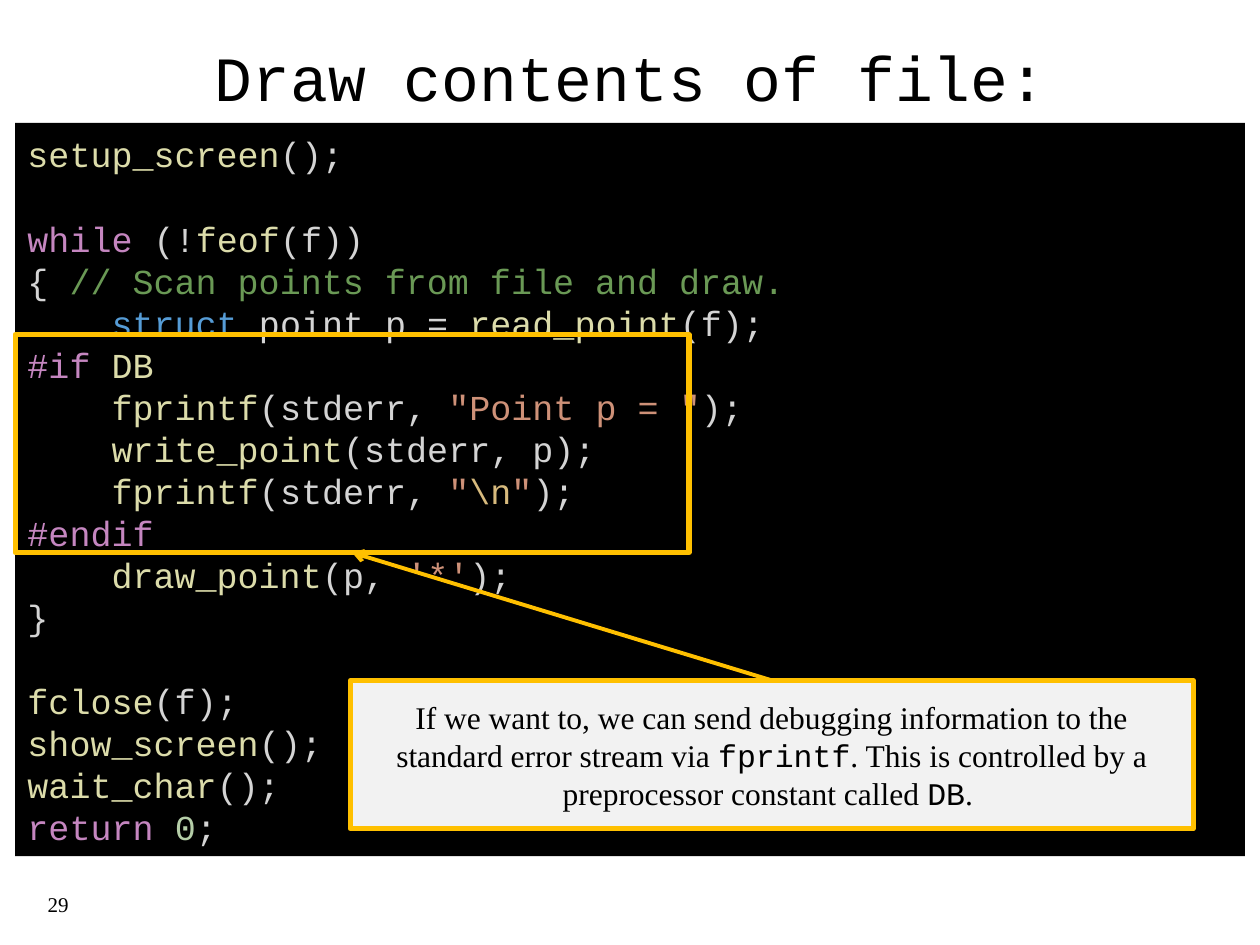
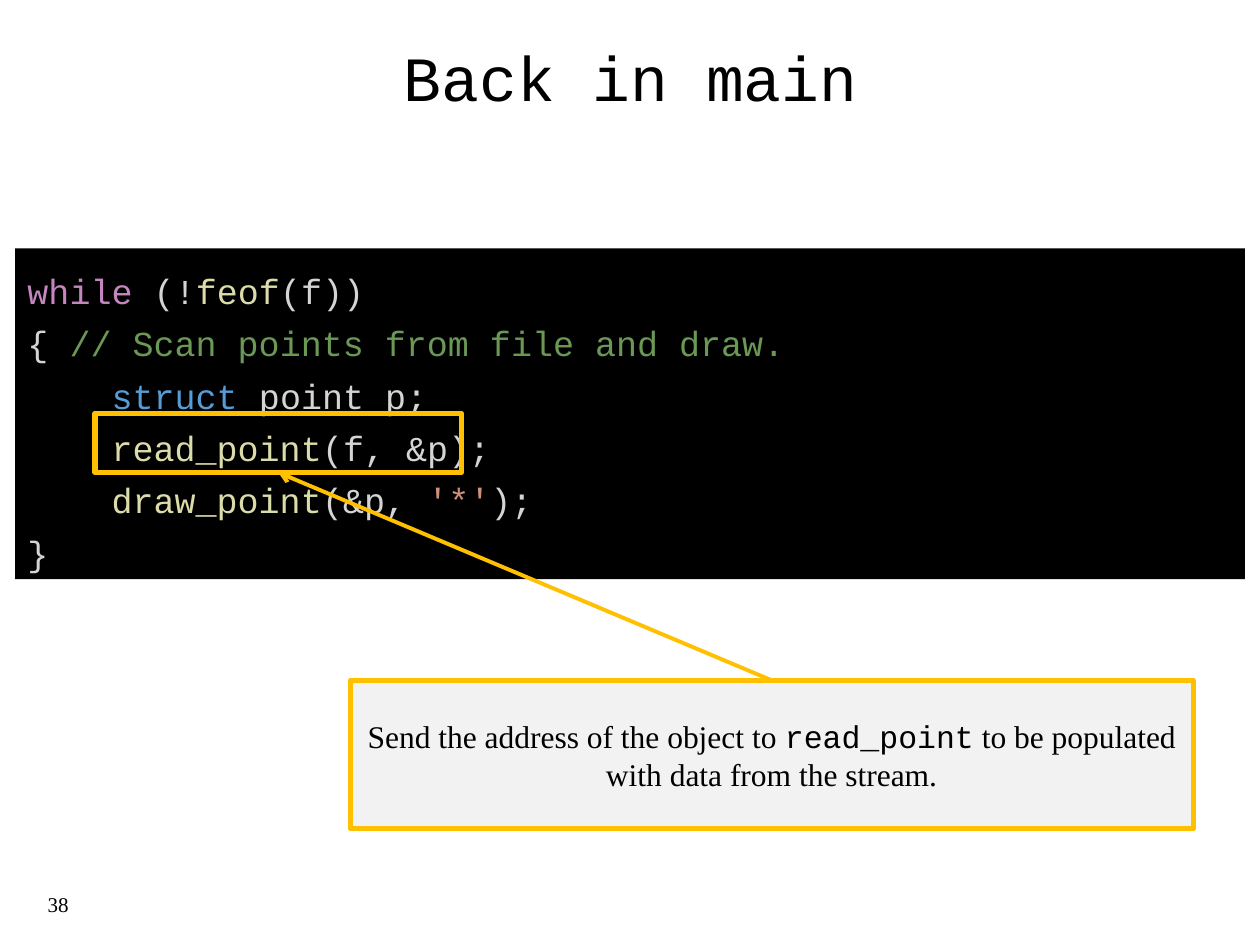
from dataclasses import dataclass

from lxml import etree
from pptx import Presentation
from pptx.dml.color import RGBColor
from pptx.enum.shapes import MSO_CONNECTOR, MSO_SHAPE
from pptx.enum.text import MSO_ANCHOR, PP_ALIGN
from pptx.oxml.ns import qn
from pptx.util import Inches, Pt

RECT = MSO_SHAPE.RECTANGLE
STRAIGHT = MSO_CONNECTOR.STRAIGHT
TOP, MIDDLE = MSO_ANCHOR.TOP, MSO_ANCHOR.MIDDLE
LEFT, CENTER = PP_ALIGN.LEFT, PP_ALIGN.CENTER
TOP_SITE, BOTTOM_SITE = 0, 2
TITLE_ONLY = 5

MONO, SERIF = "Courier New", "Times New Roman"
COLORS = {
    "text": "000000",
    "panel": "000000",
    "note": "F2F2F2",
    "accent": "FFC000",
    "plain": "D4D4D4",
    "call": "DCDCAA",
    "control": "C586C0",
    "type": "569CD6",
    "comment": "6A9955",
    "string": "CE9178",
    "escape": "D7BA7D",
    "number": "B5CEA8",
}


@dataclass
class Box:
    left: float
    top: float
    width: float
    height: float

    def share(self, x, y, w, h):
        return Box(self.left + x * self.width, self.top + y * self.height,
                   w * self.width, h * self.height)

    def emu(self):
        return [Inches(v) for v in (self.left, self.top, self.width, self.height)]


SLIDE = Box(0, 0, 10, 7.5)
TITLE = SLIDE.share(0.028, 0.008, 0.945, 0.145)
NUMBER = SLIDE.share(0.028, 0.93, 0.732, 0.053)
NOTE = SLIDE.share(0.278, 0.72, 0.669, 0.157)

LOOP_HEAD = [
    [("control", "while"), ("plain", " (!"), ("call", "feof"), ("plain", "(f))")],
    [("plain", "{ "), ("comment", "// Scan points from file and draw.")],
]

DRAW_FILE = [
    [("call", "setup_screen"), ("plain", "();")],
    *LOOP_HEAD,
    [("type", "    struct "), ("plain", "point p = "), ("call", "read_point"),
     ("plain", "(f);")],
    [("control", "#if "), ("call", "DB")],
    [("call", "    fprintf"), ("plain", "(stderr, "), ("string", '"Point p = "'),
     ("plain", ");")],
    [("call", "    write_point"), ("plain", "(stderr, p);")],
    [("call", "    fprintf"), ("plain", "(stderr, "), ("string", '"'),
     ("escape", "\\n"), ("string", '"'), ("plain", ");")],
    [("control", "#endif")],
    [("call", "    draw_point"), ("plain", "(p, "), ("string", "'*'"), ("plain", ");")],
    [("plain", "}")],
    [("call", "fclose"), ("plain", "(f);")],
    [("call", "show_screen"), ("plain", "();")],
    [("call", "wait_char"), ("plain", "();")],
    [("control", "return "), ("number", "0"), ("plain", ";")],
]

BACK_IN_MAIN = [
    *LOOP_HEAD,
    [("type", "    struct "), ("plain", "point p;")],
    [("call", "    read_point"), ("plain", "(f, &p);")],
    [("call", "    draw_point"), ("plain", "(&p, "), ("string", "'*'"), ("plain", ");")],
    [("plain", "}")],
]


def rgb(name):
    return RGBColor.from_string(COLORS[name])


def add_run(p, text, size, font, color="text"):
    r = p.add_run()
    r.text = text
    r.font.size = Pt(size)
    r.font.name = font
    r.font.color.rgb = rgb(color)


def add_rect(slide, box, fill=None, outlined=False):
    sp = slide.shapes.add_shape(RECT, *box.emu())
    sp.shadow.inherit = False
    if fill:
        sp.fill.solid()
        sp.fill.fore_color.rgb = rgb(fill)
    else:
        sp.fill.background()
    if outlined:
        sp.line.color.rgb = rgb("accent")
        sp.line.width = Pt(3)
    else:
        sp.line.fill.background()
    return sp


def add_title(slide, box, text):
    sp = slide.shapes.title
    sp.left, sp.top, sp.width, sp.height = box.emu()
    tf = sp.text_frame
    tf.vertical_anchor = MIDDLE
    p = tf.paragraphs[0]
    p.alignment = CENTER
    add_run(p, text, 36, MONO)


def add_number(slide, box, number):
    tf = slide.shapes.add_textbox(*box.emu()).text_frame
    tf.word_wrap = True
    tf.vertical_anchor = MIDDLE
    add_run(tf.paragraphs[0], str(number), 12, SERIF)


def add_code(slide, box, lines, leading, gaps_before):
    tf = add_rect(slide, box, "panel").text_frame
    tf.word_wrap = True
    tf.vertical_anchor = TOP
    tf.margin_top = Inches(0.08)
    for i, tokens in enumerate(lines):
        p = tf.add_paragraph() if i else tf.paragraphs[0]
        p.alignment = LEFT
        p.line_spacing = Pt(leading)
        if i in gaps_before:
            p.space_before = Pt(leading)
        for color, text in tokens:
            add_run(p, text, 20, MONO, color)


def add_note(slide, box, text):
    sp = add_rect(slide, box, "note", outlined=True)
    tf = sp.text_frame
    tf.word_wrap = True
    tf.vertical_anchor = MIDDLE
    p = tf.paragraphs[0]
    p.alignment = CENTER
    for i, piece in enumerate(text.split("`")):
        add_run(p, piece, 18, MONO if i % 2 else SERIF)
    return sp


def add_arrow(slide, note, target):
    cxn = slide.shapes.add_connector(STRAIGHT, 0, 0, 0, 0)
    cxn.begin_connect(note, TOP_SITE)
    cxn.end_connect(target, BOTTOM_SITE)
    cxn.line.color.rgb = rgb("accent")
    cxn.line.width = Pt(2.25)
    sp_pr = cxn._element.spPr
    etree.SubElement(sp_pr.find(qn("a:ln")), qn("a:tailEnd"), type="arrow")
    etree.SubElement(sp_pr, qn("a:effectLst"))


def add_code_slide(prs, title, number, panel, lines, mark, note, leading, gaps_before=()):
    slide = prs.slides.add_slide(prs.slide_layouts[TITLE_ONLY])
    add_code(slide, panel, lines, leading, gaps_before)
    add_title(slide, TITLE, title)
    add_number(slide, NUMBER, number)
    target = add_rect(slide, panel.share(*mark), outlined=True)
    add_arrow(slide, add_note(slide, NOTE, note), target)


def main():
    prs = Presentation()
    prs.slide_width, prs.slide_height = Inches(SLIDE.width), Inches(SLIDE.height)
    add_code_slide(
        prs, "Draw contents of file:", 29,
        SLIDE.share(0.012, 0.13, 0.976, 0.776), DRAW_FILE, (0, 0.289, 0.548, 0.297),
        "If we want to, we can send debugging information to the standard error "
        "stream via `fprintf`. This is controlled by a preprocessor constant "
        "called `DB`. ",
        leading=24, gaps_before=(1, 11))
    add_code_slide(
        prs, "Back in main", 38,
        SLIDE.share(0.012, 0.263, 0.976, 0.35), BACK_IN_MAIN, (0.065, 0.498, 0.298, 0.179),
        "Send the address of the object to `read_point` to be populated with data "
        "from the stream.",
        leading=30)
    prs.save("out.pptx")


if __name__ == "__main__":
    main()
